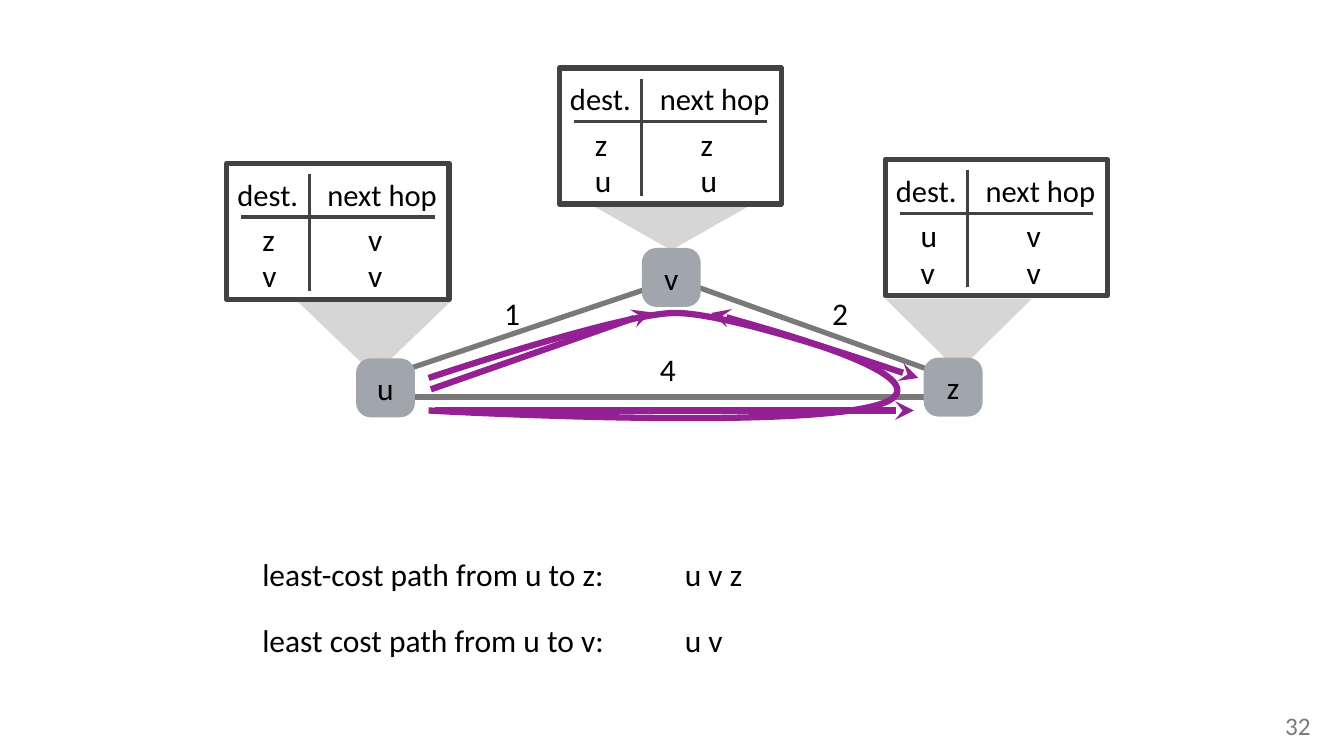
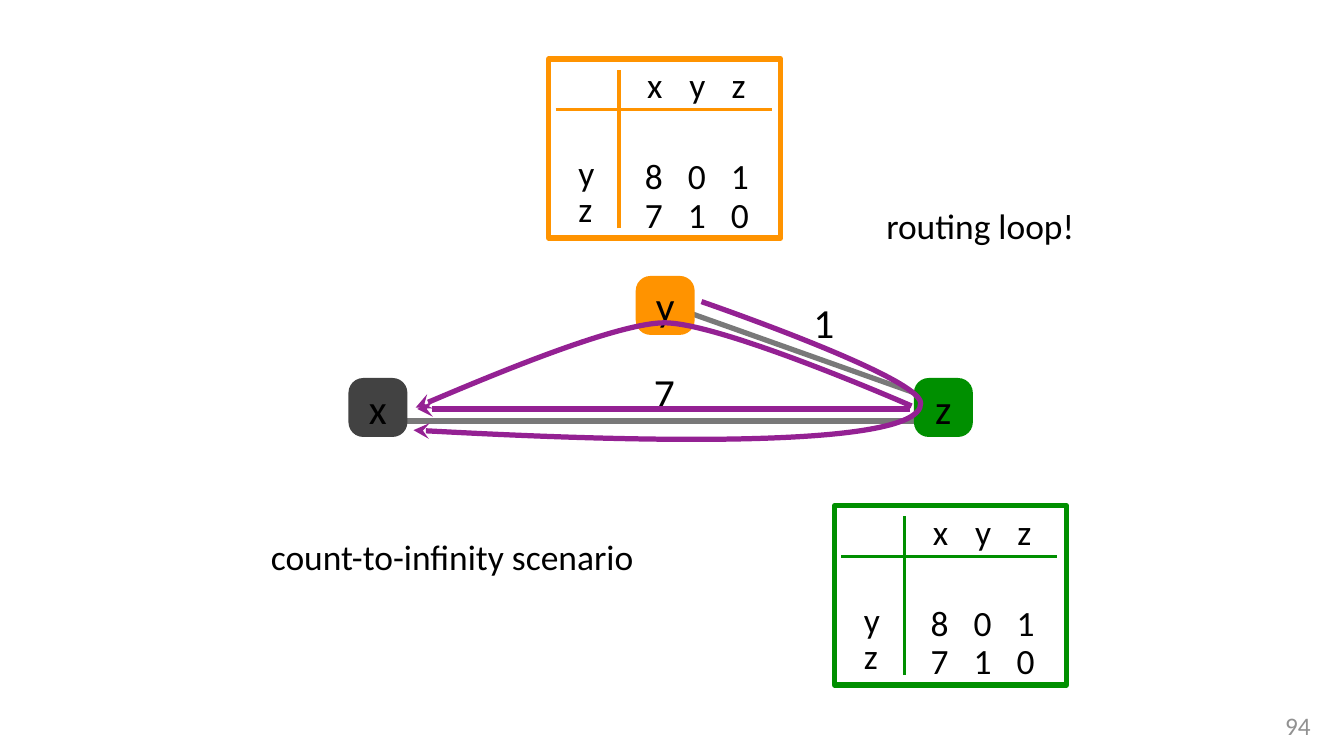
import dataclasses

import lxml.etree
import pptx
import pptx.dml.color
import pptx.enum.shapes
import pptx.enum.text
import pptx.oxml.ns
import pptx.util

Inches = pptx.util.Inches
Align = pptx.enum.text.PP_ALIGN
Anchor = pptx.enum.text.MSO_ANCHOR
AutoSize = pptx.enum.text.MSO_AUTO_SIZE
Preset = pptx.enum.shapes.MSO_SHAPE
qn = pptx.oxml.ns.qn


@dataclasses.dataclass(frozen=True)
class Theme:
    font: str = "Calibri"
    text: str = "000000"
    link: str = "797979"
    route: str = "942193"
    callout: str = "D6D6D6"
    router: str = "A1A6AC"
    dark: str = "424242"
    orange: str = "FF9300"
    green: str = "008F00"
    page_dark: str = "7A7A7A"
    page_light: str = "919191"
    body: float = 30
    heading: float = 29.1
    vector: float = 33.8
    node: float = 39.4
    page: float = 24
    rule: float = 3
    frame: float = 5
    bold_route: float = 6


THEME = Theme()
SLIDE_SIZE = (17.78, 10)
NODE_SIZE = 0.78

# Forwarding tables: frame corner, then (destination, next hop) rows
FORWARDING_TABLES = [
    ((7.4, 0.9), [("z", "z"), ("u", "u")]),
    ((3, 2.16), [("z", "v"), ("v", "v")]),
    ((11.71, 2.11), [("u", "v"), ("v", "v")]),
]
CALLOUTS = [
    [(11.71, 3.95), (13.65, 3.95), (12.68, 4.91)],
    [(7.86, 2.73), (9.9, 2.73), (8.88, 3.31)],
    [(3.93, 3.98), (5.97, 3.98), (4.95, 4.96)],
]
FORWARDING_LINKS = [
    ((8.71, 3.77), (5.34, 4.9)),
    ((5.44, 5.25), (12.53, 5.25)),
    ((9.15, 3.77), (12.54, 4.98)),
]
FORWARDING_COSTS = [("4", 8.68, 4.58), ("1", 6.62, 3.83), ("2", 10.96, 3.83)]
FORWARDING_NODES = [
    ("v", 8.49, 3.28, THEME.router),
    ("u", 4.71, 4.74, THEME.router),
    ("z", 12.22, 4.73, THEME.router),
]
LEAST_COST_PATHS = [
    ("least-cost path from u to z:", "u v z", 7.28),
    ("least cost path from u to v:", "u v", 8.16),
]
FORWARDING_STRAIGHT_ROUTES = [
    ((5.75, 5.43), (12.09, 5.43)),
    ((5.7, 5.15), (8.61, 4.13)),
]
# Curved routes: start, then (control, control, end) for each bend
FORWARDING_CURVED_ROUTES = [
    ((5.67, 5), [((5.67, 5), (8.23, 4.14), (8.93, 4.14)),
                 ((9.62, 4.14), (12.15, 5), (12.15, 5))]),
    ((5.67, 5.43), [((5.67, 5.43), (11.34, 5.75), (11.83, 5.25)),
                    ((12.18, 4.9), (9.41, 4.14), (9.41, 4.14))]),
]

# Distance vectors: frame corner and colour; both hold the same costs
DISTANCE_TABLES = [((7.26, 0.78), THEME.orange), ((11.04, 6.69), THEME.green)]
DESTINATIONS = ["x", "y", "z"]
DISTANCES = [("y", ["8", "0", "1"]), ("z", ["7", "1", "0"])]
LOOP_LINKS = [((5.3, 5.57), (12.39, 5.57)), ((9.01, 4.1), (12.39, 5.3))]
LOOP_COSTS = [("7", 8.6, 4.8), ("1", 10.71, 3.88)]
LOOP_NODES = [
    ("x", 4.61, 5, THEME.dark),
    ("z", 12.09, 5, THEME.green),
    ("y", 8.41, 3.65, THEME.orange),
]
LOOP_REMARKS = [
    ("routing loop!", (11.4, 2.65, 3.14, 0.67)),
    ("count-to-infinity scenario", (3.45, 7.02, 5.07, 0.67)),
]
LOOP_STRAIGHT_ROUTES = [((12.04, 5.41), (5.52, 5.41))]
LOOP_CURVED_ROUTES = [
    ((12.06, 5.37), [((12.06, 5.37), (9.53, 4.26), (8.78, 4.27)),
                     ((8.09, 4.28), (5.5, 5.39), (5.5, 5.39))]),
    ((9.28, 3.99), [((9.28, 3.99), (12.16, 4.98), (12.18, 5.33)),
                    ((12.22, 6.07), (5.47, 5.69), (5.47, 5.69))]),
]


def rgb(colour):
    return pptx.dml.color.RGBColor.from_string(colour)


def emu(point):
    return tuple(Inches(value) for value in point)


def write(shape, words, size, colour=THEME.text, align=None, inset=0.05, anchor=Anchor.MIDDLE):
    frame = shape.text_frame
    frame.margin_left = frame.margin_right = Inches(inset)
    frame.margin_top = frame.margin_bottom = Inches(inset)
    frame.word_wrap = True
    frame.vertical_anchor = anchor
    frame.text = words
    paragraph = frame.paragraphs[0]
    paragraph.alignment = align
    font = paragraph.runs[0].font
    font.name = THEME.font
    font.size = pptx.util.Pt(size)
    font.color.rgb = rgb(colour)
    return frame


def label(slide, words, box, size, grow=False, **style):
    frame = write(slide.shapes.add_textbox(*emu(box)), words, size, **style)
    if grow:
        frame.auto_size = AutoSize.SHAPE_TO_FIT_TEXT
    return frame


def stroke(shape, colour, width, arrow=False):
    shape.line.color.rgb = rgb(colour)
    shape.line.width = pptx.util.Pt(width)
    if arrow:
        outline = shape._element.spPr.find(qn("a:ln"))
        lxml.etree.SubElement(outline, qn("a:tailEnd"), type="stealth")


def straight(slide, start, end, colour, width, arrow=False):
    connector = slide.shapes.add_connector(
        pptx.enum.shapes.MSO_CONNECTOR.STRAIGHT, *emu(start), *emu(end))
    stroke(connector, colour, width, arrow)
    lxml.etree.SubElement(connector._element.spPr, qn("a:effectLst"))


def outline_shape(slide, points, close):
    start, *rest = [emu(point) for point in points]
    builder = slide.shapes.build_freeform(*start, scale=1.0)
    builder.add_line_segments(rest, close=close)
    shape = builder.convert_to_shape()
    shape.shadow.inherit = False
    return shape


def bezier_point(corners, t):
    weights = ((1 - t) ** 3, 3 * t * (1 - t) ** 2, 3 * t * t * (1 - t), t ** 3)
    return tuple(sum(w * corner[axis] for w, corner in zip(weights, corners))
                 for axis in (0, 1))


def curved_route(slide, start, bends, width):
    """Size the outline along the curve, then turn its segments into Bezier bends."""
    steps = 20
    points = [start]
    for bend in bends:
        corners = (points[-1], *bend)
        points += [bezier_point(corners, step / steps) for step in range(1, steps + 1)]
    route = outline_shape(slide, points, close=False)
    route.fill.background()
    stroke(route, THEME.route, width, arrow=True)
    track = route._element.find(".//" + qn("a:path"))
    for segment in track.findall(qn("a:lnTo")):
        track.remove(segment)
    for bend in bends:
        curve = lxml.etree.SubElement(track, qn("a:cubicBezTo"))
        for x, y in map(emu, bend):
            lxml.etree.SubElement(curve, qn("a:pt"),
                                  x=str(x - route.left), y=str(y - route.top))


def draw_routes(slide, straight_routes, curved_routes, width):
    for start, end in straight_routes:
        straight(slide, start, end, THEME.route, width, arrow=True)
    for start, bends in curved_routes:
        curved_route(slide, start, bends, width)


def draw_links(slide, links):
    for start, end in links:
        straight(slide, start, end, THEME.link, THEME.frame)


def draw_nodes(slide, nodes, size):
    for name, left, top, colour in nodes:
        node = slide.shapes.add_shape(
            Preset.ROUNDED_RECTANGLE, *emu((left, top, NODE_SIZE, NODE_SIZE)))
        node.adjustments[0] = 0.25
        node.shadow.inherit = False
        node.fill.solid()
        node.fill.fore_color.rgb = rgb(colour)
        node.line.fill.background()
        write(node, name, size, align=Align.CENTER, inset=0)


def draw_costs(slide, costs, size, height):
    for cost, left, top in costs:
        label(slide, cost, (left, top, 0.39, height), size, grow=True)


def table_grid(slide, corner, size, colour, across, down):
    """Frame with one rule across (x0, x1, y) and one down (x, y0, y1)."""
    left, top = corner
    frame = slide.shapes.add_shape(Preset.RECTANGLE, *emu((*corner, *size)))
    frame.shadow.inherit = False
    frame.fill.background()
    stroke(frame, colour, THEME.frame)
    x0, x1, y = across
    straight(slide, (left + x0, top + y), (left + x1, top + y), colour, THEME.rule)
    x, y0, y1 = down
    straight(slide, (left + x, top + y1), (left + x, top + y0), colour, THEME.rule)


def forwarding_table(slide, corner, rows):
    left, top = corner
    table_grid(slide, corner, (2.94, 1.8), THEME.dark, (0.19, 2.75, 0.71), (1.09, 0.14, 1.69))
    for heading, x, width in [("dest.", 0.09, 2.08), ("next hop", 1.28, 1.64)]:
        label(slide, heading, (left + x, top + 0.1, width, 0.61), THEME.heading)
    for row, (destination, hop) in enumerate(rows):
        y = top + 0.66 + 0.48 * row
        label(slide, destination, (left + 0.42, y, 0.65, 0.68), THEME.body)
        label(slide, hop, (left + 1.82, y, 0.35, 0.68), THEME.body)


def distance_table(slide, corner, colour):
    left, top = corner
    table_grid(slide, corner, (3.07, 2.37), colour, (0.09, 2.95, 0.67), (0.93, 0.14, 2.24))
    for column, destination in enumerate(DESTINATIONS):
        label(slide, destination, (left + 1.25 + 0.56 * column, top + 0.03, 0.39, 0.61),
              THEME.vector)
    for row, (origin, costs) in enumerate(DISTANCES):
        label(slide, origin, (left + 0.34, top + 1.16 + 0.48 * row, 0.35, 0.68), THEME.vector)
        for column, cost in enumerate(costs):
            label(slide, cost,
                  (left + 1.22 + 0.57 * column, top + 1.2 + 0.51 * row, 0.25, 0.68),
                  THEME.vector)


def page_number(slide, number, colour):
    frame = label(slide, number, (16.94, 9.39, 0.46, 0.5), THEME.page, grow=True,
                  colour=colour, align=Align.CENTER, inset=0, anchor=Anchor.TOP)
    frame.word_wrap = False


def forwarding_slide(slide):
    for corners in CALLOUTS:
        callout = outline_shape(slide, corners, close=True)
        callout.fill.solid()
        callout.fill.fore_color.rgb = rgb(THEME.callout)
        callout.line.fill.background()
    draw_costs(slide, FORWARDING_COSTS, THEME.body, 0.61)
    draw_links(slide, FORWARDING_LINKS)
    draw_nodes(slide, FORWARDING_NODES, THEME.body)
    for question, answer, top in LEAST_COST_PATHS:
        label(slide, question, (3.42, top, 5.4, 0.61), THEME.body, grow=True)
        label(slide, answer, (9.01, top, 1.2, 0.61), THEME.body, grow=True)
    for corner, rows in FORWARDING_TABLES:
        forwarding_table(slide, corner, rows)
    draw_routes(slide, FORWARDING_STRAIGHT_ROUTES, FORWARDING_CURVED_ROUTES, THEME.bold_route)
    page_number(slide, "32", THEME.page_dark)


def routing_loop_slide(slide):
    draw_links(slide, LOOP_LINKS)
    page_number(slide, "94", THEME.page_light)
    draw_nodes(slide, LOOP_NODES, THEME.node)
    draw_costs(slide, LOOP_COSTS, THEME.node, 0.77)
    for corner, colour in DISTANCE_TABLES:
        distance_table(slide, corner, colour)
    for remark, box in LOOP_REMARKS:
        label(slide, remark, box, THEME.vector, grow=True, align=Align.CENTER)
    draw_routes(slide, LOOP_STRAIGHT_ROUTES, LOOP_CURVED_ROUTES, THEME.frame)


def main():
    deck = pptx.Presentation()
    deck.slide_width, deck.slide_height = emu(SLIDE_SIZE)
    blank = deck.slide_layouts[6]
    for build in (forwarding_slide, routing_loop_slide):
        build(deck.slides.add_slide(blank))
    deck.save("out.pptx")


if __name__ == "__main__":
    main()
